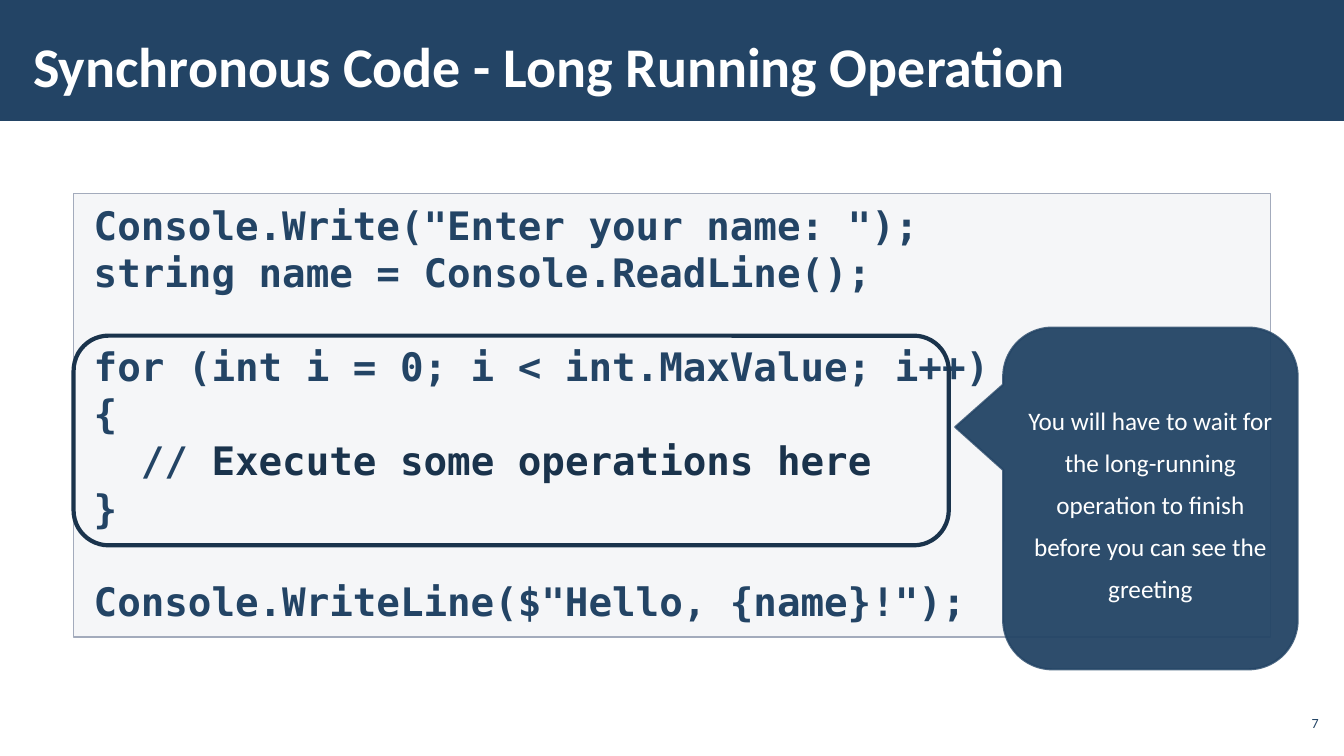
import pptx
import pptx.dml.color
import pptx.enum.shapes
import pptx.enum.text
import pptx.oxml.ns
import pptx.util
import lxml.etree

Inches = pptx.util.Inches
Pt = pptx.util.Pt
SHAPES = pptx.enum.shapes.MSO_SHAPE
ALIGN = pptx.enum.text.PP_ALIGN
ANCHOR = pptx.enum.text.MSO_ANCHOR

COLORS = {
    "navy": "234465",
    "dark": "1A334C",
    "panel": "C2C7D2",
    "edge": "A3ABBC",
    "white": "FFFFFF",
}
SANS = "Calibri"
MONO = "DejaVu Sans Mono"
CODE_LINE = 33.5


class SlideBuilder:
    def __init__(self, slide):
        self.slide = slide

    def rgb(self, name):
        return pptx.dml.color.RGBColor.from_string(COLORS[name])

    def paint(self, fill, color, opacity=100):
        fill.solid()
        fill.fore_color.rgb = self.rgb(color)
        if opacity < 100:
            tag = pptx.oxml.ns.qn("a:srgbClr")
            for node in fill._xPr.find(pptx.oxml.ns.qn("a:solidFill")).iter(tag):
                alpha = lxml.etree.SubElement(node, pptx.oxml.ns.qn("a:alpha"))
                alpha.set("val", str(opacity * 1000))

    def shape(self, kind, place, fill=None, opacity=100, line=None, width=1,
              line_opacity=100, adjustments=()):
        shape = self.slide.shapes.add_shape(kind, *map(Inches, place))
        shape.shadow.inherit = False
        for index, value in enumerate(adjustments):
            shape.adjustments[index] = value
        if fill:
            self.paint(shape.fill, fill, opacity)
        else:
            shape.fill.background()
        if line:
            shape.line.width = Pt(width)
            self.paint(shape.line.fill, line, line_opacity)
        else:
            shape.line.fill.background()
        return shape

    def frame(self, shape, anchor, side, edge):
        frame = shape.text_frame
        frame.word_wrap = True
        frame.vertical_anchor = anchor
        frame.margin_left = frame.margin_right = Inches(side)
        frame.margin_top = frame.margin_bottom = Inches(edge)
        return frame

    def style(self, para, font, size, color, bold=False, align=ALIGN.LEFT):
        para.alignment = align
        para.font.name = font
        para.font.size = Pt(size)
        para.font.bold = bold
        para.font.color.rgb = self.rgb(color)

    def label(self, place, text, size, color, side, bold=False, align=ALIGN.LEFT):
        box = self.slide.shapes.add_textbox(*map(Inches, place))
        para = self.frame(box, ANCHOR.MIDDLE, side, 0.04).paragraphs[0]
        para.text = text
        self.style(para, SANS, size, color, bold, align)

    def code(self, place, blocks):
        panel = self.shape(SHAPES.RECTANGLE, place, "panel", 15, "edge")
        frame = self.frame(panel, ANCHOR.TOP, 0, 0.08)
        para = frame.paragraphs[0]
        for block_index, block in enumerate(blocks):
            for line_index, line in enumerate(block):
                if block_index or line_index:
                    para = frame.add_paragraph()
                if block_index and not line_index:
                    para.space_before = Pt(CODE_LINE)
                para._p.get_or_add_pPr().set("marL", str(Inches(0.2)))
                self.style(para, MONO, 28, "navy", True)
                for text, color in line:
                    span = para.add_run()
                    span.text = text
                    if color != "navy":
                        span.font.color.rgb = self.rgb(color)

    def callout(self, place, text):
        bubble = self.shape(SHAPES.ROUNDED_RECTANGULAR_CALLOUT, place, "navy", 95,
                            "navy", 1.5, 80, (-0.663, -0.209, 0.167))
        para = self.frame(bubble, ANCHOR.MIDDLE, 0.1, 0.05).paragraphs[0]
        para.text = text
        para.line_spacing = Pt(30)
        self.style(para, SANS, 18, "white", align=ALIGN.CENTER)


def main():
    deck = pptx.Presentation()
    deck.slide_width = Inches(13.33)
    deck.slide_height = Inches(7.5)
    page = SlideBuilder(deck.slides.add_slide(deck.slide_layouts[6]))

    page.shape(SHAPES.RECTANGLE, (0, 0, 13.33, 1.2), "navy")
    page.label((12.65, 7, 0.47, 0.34), "7", 10, "navy", 0.04, align=ALIGN.RIGHT)
    page.label((0.21, 0.04, 10.63, 1.21), "Synchronous Code - Long Running Operation",
               40, "white", 0.12, bold=True)
    page.code((0.73, 1.92, 11.87, 4.4), [
        [
            [('Console.Write("Enter your name: ");', "navy")],
            [("string name = Console.ReadLine();", "navy")],
        ],
        [
            [("for (int i = 0; i < int.MaxValue; i++)", "navy")],
            [("{", "navy")],
            [("  // ", "navy"), ("Execute some operations here", "dark")],
            [("}", "navy")],
        ],
        [
            [('Console.WriteLine($"Hello, {name}!");', "navy")],
        ],
    ])
    page.callout((9.95, 3.25, 2.92, 3.39),
                 "You will have to wait for the long-running operation to finish "
                 "before you can see the greeting")
    page.shape(SHAPES.ROUNDED_RECTANGLE, (0.73, 3.33, 8.68, 2.08), line="dark", width=3)
    deck.save("out.pptx")


if __name__ == "__main__":
    main()
